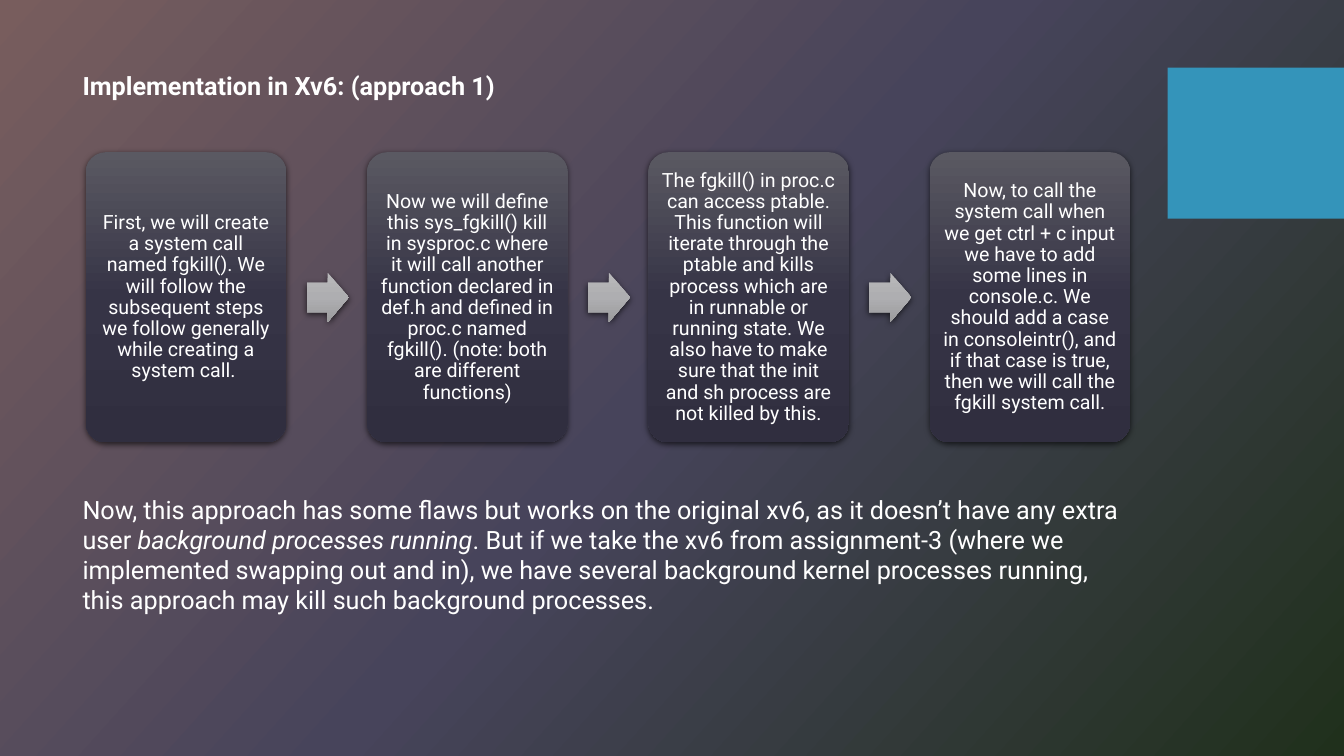
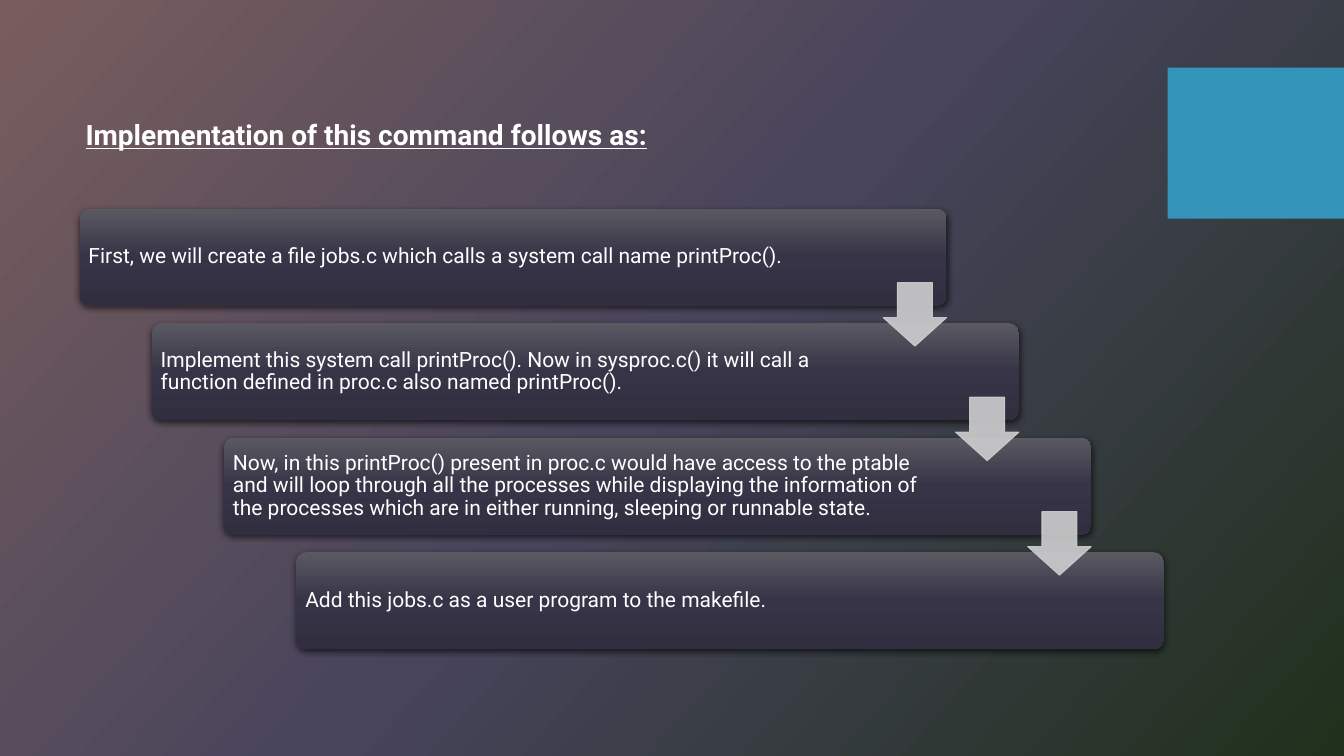
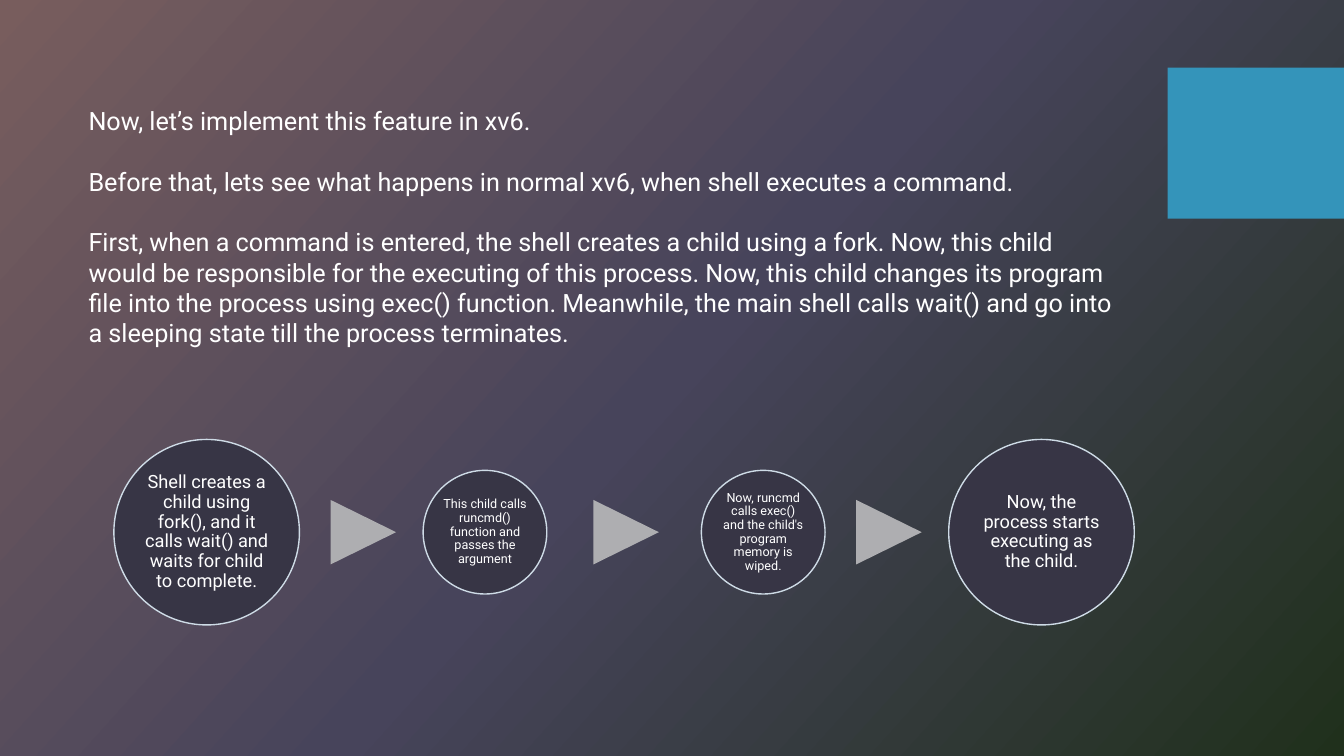
from copy import deepcopy

from lxml.etree import SubElement
from pptx import Presentation
from pptx.dml.color import RGBColor
from pptx.enum.shapes import MSO_SHAPE
from pptx.enum.text import MSO_ANCHOR, MSO_AUTO_SIZE, PP_ALIGN
from pptx.oxml.ns import qn
from pptx.util import Inches, Pt

# Shared look
W, H = 13.33, 7.5
FONT, WHITE, ACCENT = "Roboto", "FFFFFF", "3494BA"
DISC, RIM, PALE, GREY = "373545", "CEDBE6", "CECECF", "AEAEB1"
BACKDROP = ["785D5D", "47445B", "20301C"]
CARD = ["5A5962", "363446", "302E3F"]
ARROW = ["B8B8BA", "AEAEB1", "9B9B9D"]
BLANK_LINE = 21.6  # points, one empty 18 pt line


def color(value):
    return RGBColor.from_string(value)


def gradient(fill, colors, angle):
    """Spread the colours evenly; the angle runs clockwise."""
    fill.gradient()
    fill.gradient_angle = 360 - angle
    first = fill.gradient_stops[0]._gs
    for _ in colors[2:]:
        first.addnext(deepcopy(first))
    for i, (stop, value) in enumerate(zip(fill.gradient_stops, colors)):
        stop.color.rgb = color(value)
        stop.position = i / (len(colors) - 1)


def write(tf, paragraphs, size=18, align=PP_ALIGN.LEFT, spacing=None, before=0,
          inset=None, right=None, anchor=MSO_ANCHOR.TOP):
    """Each paragraph is a string or a list of (text, font format) runs."""
    tf.word_wrap = True
    tf.vertical_anchor = anchor
    if inset is not None:
        tf.margin_left = tf.margin_top = tf.margin_bottom = Inches(inset)
        tf.margin_right = Inches(inset if right is None else right)
    for i, runs in enumerate(paragraphs):
        p = tf.add_paragraph() if i else tf.paragraphs[0]
        p.alignment = align
        if spacing:
            p.line_spacing = spacing
        if i and before:
            p.space_before = Pt(before)
        for text, style in [(runs, {})] if isinstance(runs, str) else runs:
            r = p.add_run()
            r.text = text
            r.font.name, r.font.size = FONT, Pt(size)
            r.font.color.rgb = color(WHITE)
            for name, value in style.items():
                setattr(r.font, name, value)


def add_text(s, x, y, w, h, paragraphs, **fmt):
    tf = s.shapes.add_textbox(*map(Inches, (x, y, w, h))).text_frame
    write(tf, paragraphs, **fmt)
    tf.auto_size = MSO_AUTO_SIZE.SHAPE_TO_FIT_TEXT


def add_shape(s, kind, x, y, w, h, fill, line=None, line_width=1, adj=(),
              shadow=False, alpha=None):
    sp = s.shapes.add_shape(kind, *map(Inches, (x, y, w, h)))
    sp.shadow.inherit = False
    for i, value in enumerate(adj):
        sp.adjustments[i] = value
    if isinstance(fill, list):
        gradient(sp.fill, fill, 90)
    else:
        sp.fill.solid()
        sp.fill.fore_color.rgb = color(fill)
    if line:
        sp.line.color.rgb = color(line)
        sp.line.width = Pt(line_width)
    else:
        sp.line.fill.background()
    spPr = sp._element.spPr
    if alpha:
        for node in spPr.iter(qn("a:srgbClr")):
            SubElement(node, qn("a:alpha"), val=str(alpha * 1000))
    if shadow:
        outer = SubElement(spPr.find(qn("a:effectLst")), qn("a:outerShdw"),
                           blurRad=str(Pt(4.5)), dist=str(Pt(1.5)),
                           dir="5400000", algn="ctr", rotWithShape="0")
        black = SubElement(outer, qn("a:srgbClr"), val="000000")
        SubElement(black, qn("a:alpha"), val="63000")
    return sp


def add_card(s, x, y, w, h, text, **fmt):
    sp = add_shape(s, MSO_SHAPE.ROUNDED_RECTANGLE, x, y, w, h, CARD,
                   adj=[0.1], shadow=True)
    write(sp.text_frame, [text], spacing=0.9, inset=0.06,
          anchor=MSO_ANCHOR.MIDDLE, **fmt)


def new_slide(prs):
    s = prs.slides.add_slide(prs.slide_layouts[6])
    gradient(s.background.fill, BACKDROP, 42)
    add_shape(s, MSO_SHAPE.RECTANGLE, W - 1.75, 0.67, 1.75, 1.5, ACCENT)
    return s


def card_row(s, x, y, w, h, texts):
    """Cards side by side with a block arrow in each gap."""
    gap, arrow_w, arrow_h = 0.8, 0.42, 0.49
    card_w = (w - gap * (len(texts) - 1)) / len(texts)
    for i, text in enumerate(texts):
        left = x + i * (card_w + gap)
        add_card(s, left, y, card_w, h, text, size=14, align=PP_ALIGN.CENTER)
        if i < len(texts) - 1:
            add_shape(s, MSO_SHAPE.RIGHT_ARROW, left + card_w + gap / 4,
                      y + (h - arrow_h) / 2, arrow_w, arrow_h, ARROW,
                      adj=[0.6, 0.5], shadow=True)


def staircase(s, x, y, w, h, texts):
    """Cards stepping down to the right, joined by down arrows."""
    card_w, card_h, arrow = 0.8 * w, 0.22 * h, 0.63
    steps = len(texts) - 1
    dx, dy = (w - card_w) / steps, (h - card_h) / steps
    for i, text in enumerate(texts):
        add_card(s, x + i * dx, y + i * dy, card_w, card_h, text,
                 size=15, right=1.4)
    for i in range(steps):
        add_shape(s, MSO_SHAPE.DOWN_ARROW, x + i * dx + card_w - arrow,
                  y + i * dy + (card_h + dy - arrow) / 2, arrow, arrow, PALE,
                  line=PALE, line_width=0.75, adj=[0.55, 0.45], alpha=90)


def circle_chain(s, x, y, w, h, texts):
    """Large end circles, smaller inner ones, a triangle in each gap."""
    last = len(texts) - 1
    pitch, mid = (w - h) / last, y + h / 2
    tri_w, tri_h, nudge = 0.64, 0.65, 0.02
    edge = None
    for i, text in enumerate(texts):
        d, size = (h, 13) if i in (0, last) else (h * 2 / 3, 9)
        left = x + h / 2 + i * pitch - d / 2
        if edge is not None:
            tri = add_shape(s, MSO_SHAPE.ISOSCELES_TRIANGLE,
                            (edge + left - tri_w) / 2 + nudge, mid - tri_h / 2,
                            tri_w, tri_h, GREY)
            tri.rotation = 90
        sp = add_shape(s, MSO_SHAPE.OVAL, left, mid - d / 2, d, d, DISC,
                       line=RIM)
        write(sp.text_frame, [text], size=size, align=PP_ALIGN.CENTER,
              spacing=0.9, inset=0.02 if size > 9 else 0.01,
              anchor=MSO_ANCHOR.MIDDLE)
        edge = left + d


prs = Presentation()
prs.slide_width, prs.slide_height = Inches(W), Inches(H)

# Slide 1: approach 1
s = new_slide(prs)
add_text(s, 0.72, 0.65, 10.48, 0.4, [
    [("Implementation in Xv6: (approach 1)", {"bold": True})],
])
card_row(s, 0.85, 1.51, 10.36, 2.88, [
    "First, we will create a system call named fgkill(). We will follow the "
    "subsequent steps we follow generally while creating a system call.\u00a0",
    "Now we will define this sys_fgkill() kill in sysproc.c where it will call "
    "another function declared in def.h and defined in proc.c named fgkill(). "
    "(note: both are different functions)",
    "The fgkill() in proc.c can access ptable. This function will iterate "
    "through the ptable and kills process which are in runnable or running "
    "state. We also have to make sure that the init and sh process are not "
    "killed by this.",
    "Now, to call the system call when we get ctrl + c input we have to add "
    "some lines in console.c. We should add a case in consoleintr(), and if "
    "that case is true, then we will call the fgkill system call.",
])
add_text(s, 0.72, 4.85, 10.48, 1.3, [
    [("Now, this approach has some flaws but works on the original xv6, as it "
      "doesn’t have any extra user ", {}),
     ("background processes running", {"italic": True}),
     (". But if we take the xv6 from assignment-3 (where we implemented "
      "swapping out and in), we have several background kernel processes "
      "running, this approach may kill such background processes.", {})],
])

# Slide 2: the jobs command
s = new_slide(prs)
add_text(s, 0.75, 1.12, 10.82, 0.44, [
    [("Implementation of this command follows as:",
      {"bold": True, "underline": True})],
], size=20)
staircase(s, 0.79, 2.07, 10.75, 4.37, [
    "First, we will create a file jobs.c which calls a system call name "
    "printProc().",
    "Implement this system call printProc(). Now in sysproc.c() it will call a "
    "function defined in proc.c also named printProc(). ",
    "Now, in this printProc() present in proc.c would have access to the "
    "ptable and will loop through all the processes while displaying the "
    "information of the processes which are in either running, sleeping or "
    "runnable state.",
    "Add this jobs.c as a user program to the makefile.",
])

# Slide 3: how the shell runs a command
s = new_slide(prs)
add_text(s, 0.78, 1, 10.36, 2.52, [
    "Now, let’s implement this feature in xv6.",
    "Before that, lets see what happens in normal xv6, when shell executes a "
    "command.",
    "First, when a command is entered, the shell creates a child using a fork. "
    "Now, this child would be responsible for the executing of this process. "
    "Now, this child changes its program file into the process using exec() "
    "function. Meanwhile, the main shell calls wait() and go into a sleeping "
    "state till the process terminates.",
], before=BLANK_LINE)
circle_chain(s, 1.13, 4.36, 10.12, 1.84, [
    "Shell creates a child using fork(), and it calls wait() and waits for "
    "child to complete.",
    "This child calls runcmd() function and passes the argument",
    "Now, runcmd calls exec() and the child's program memory is wiped.",
    "Now, the process starts executing as the child.",
])

prs.save("out.pptx")
